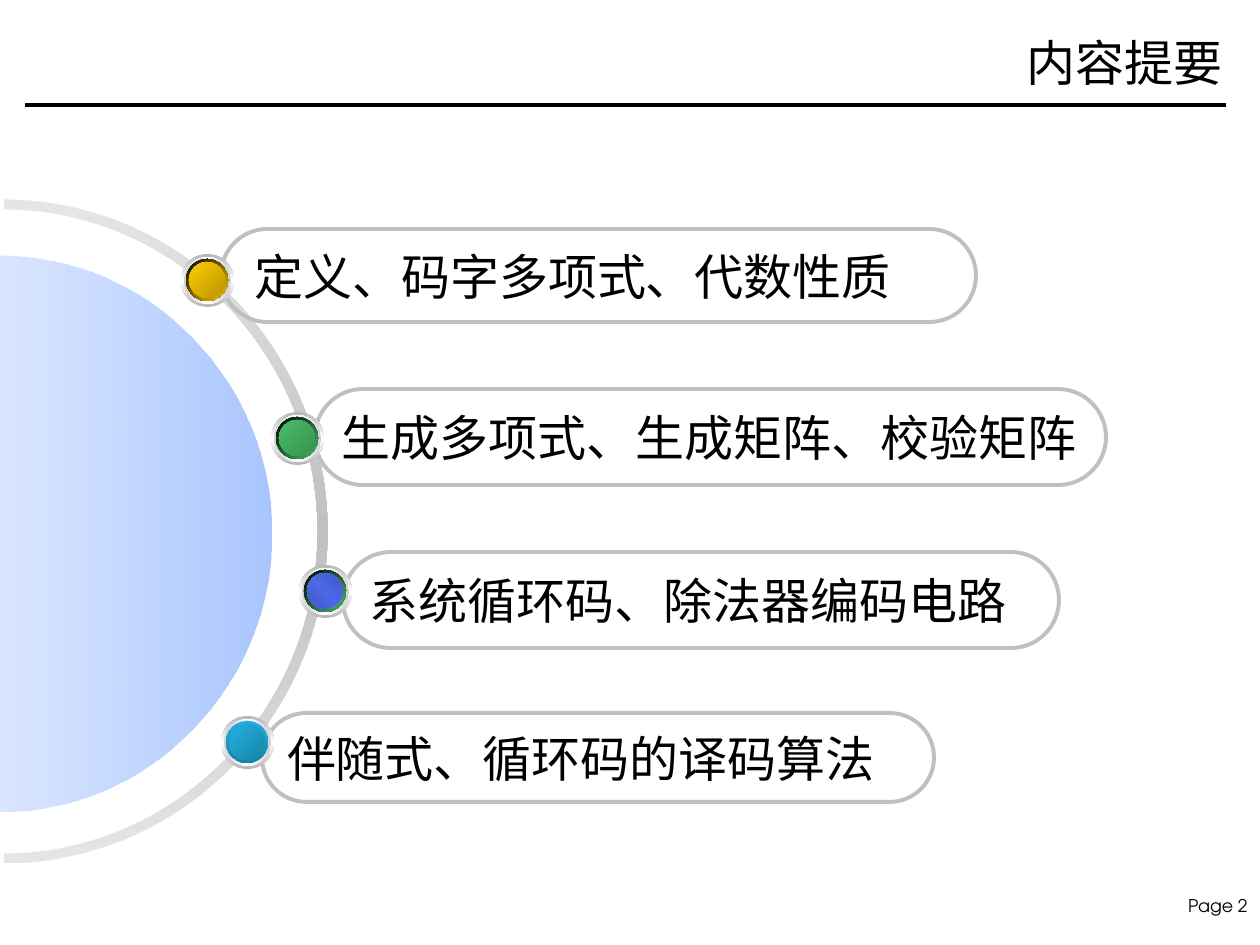
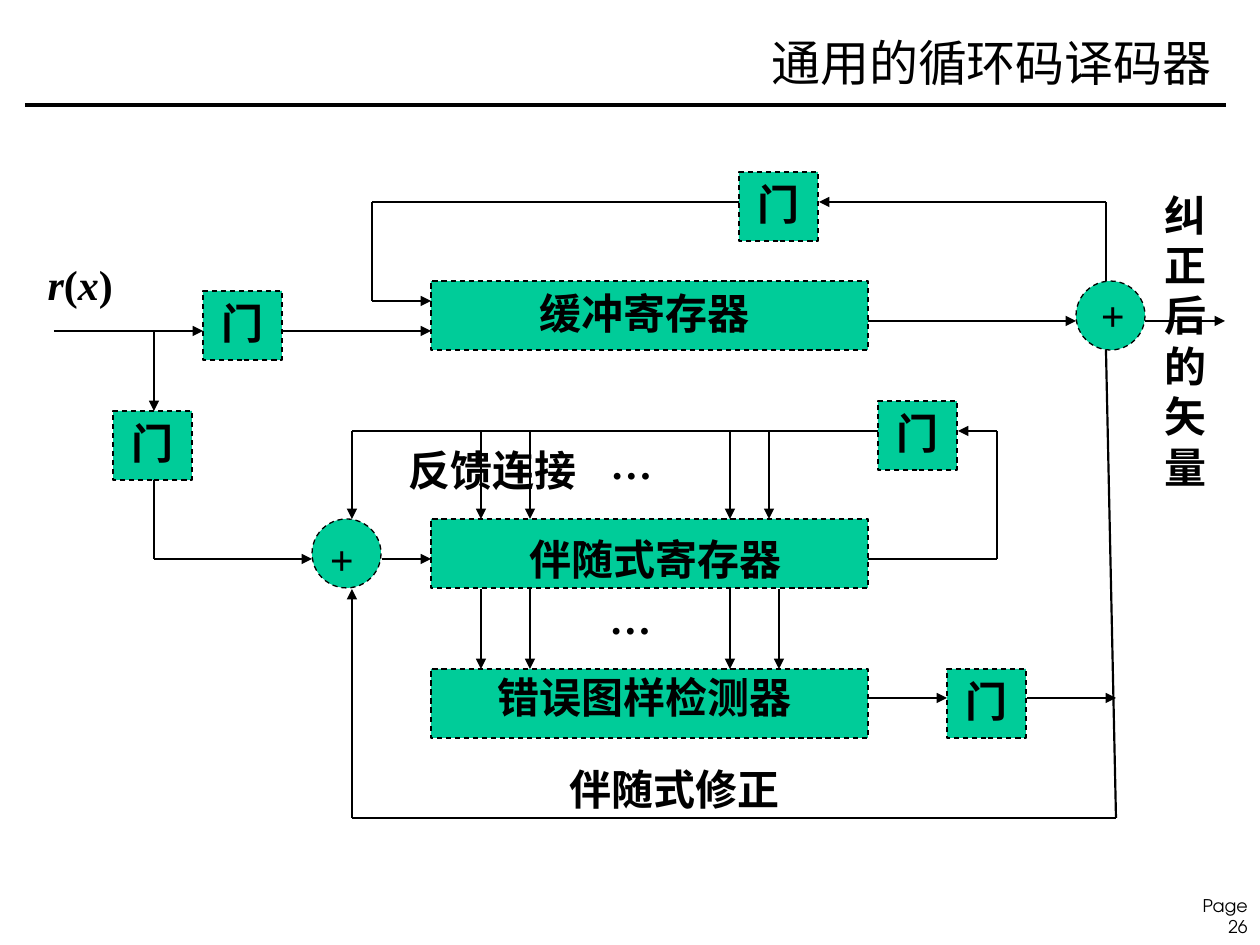
from dataclasses import dataclass

from lxml.etree import SubElement
from pptx import Presentation
from pptx.dml.color import RGBColor
from pptx.enum.dml import MSO_LINE
from pptx.enum.shapes import MSO_CONNECTOR, MSO_SHAPE
from pptx.enum.text import MSO_ANCHOR, PP_ALIGN
from pptx.oxml.ns import qn
from pptx.util import Pt

EMU_PER_PX = 914400 / 126
COLORS = {
    "ink": "000000", "block": "00CC99", "outline": "C0C0C0", "ring_edge": "E5E5E5",
    "disc_deep": "6699FF", "disc_light": "FFFFFF", "shine": "FFFFFF",
    "bezel": "FFFFFF", "bezel_inner": "FFFFFF",
    "sky": "6699FF", "sky_deep": "6699FF", "glaze": "3333CC",
    "gold": "FFCC00", "gold_deep": "FFCC00",
    "green": "48BE67", "green_deep": "48BE67",
    "cyan": "21B3E1", "cyan_rim": "21B3E1", "cyan_deep": "21B3E1",
}
MODIFIERS = {
    "disc_deep": ("alpha", 56), "disc_light": ("alpha", 48), "glaze": ("alpha", 47),
    "bezel": ("shade", 46.3), "bezel_inner": ("shade", 63.5),
    "sky_deep": ("shade", 54.5), "gold_deep": ("shade", 49),
    "green_deep": ("shade", 55), "cyan_rim": ("shade", 48), "cyan_deep": ("shade", 50),
}
SERIF, SANS = "Times New Roman", "Arial"
CJK, PAGE_FONT = "Noto Sans CJK SC", "TeX Gyre Adventor"


@dataclass
class Box:
    left: int
    top: int
    width: int
    height: int

    def inner(self, left, top, width, height):
        return Box(self.left + left, self.top + top, width, height)

    def point(self, x, y):
        return px(self.left + x), px(self.top + y)

    def emu(self):
        return [px(n) for n in (self.left, self.top, self.width, self.height)]


def px(length):
    return round(length * EMU_PER_PX)


def color(name):
    return RGBColor.from_string(COLORS[name])


def add_color(parent, name):
    element = SubElement(parent, qn("a:srgbClr"), val=COLORS[name])
    if name in MODIFIERS:
        kind, percent = MODIFIERS[name]
        SubElement(element, qn(f"a:{kind}"), val=str(round(percent * 1000)))


def fill_shape(shape, names, angle=0):
    properties = shape._element.spPr
    if len(names) == 1:
        shape.fill.solid()
        add_color(properties.find(qn("a:solidFill")), names[0])
        return
    shape.fill.gradient()
    gradient = properties.find(qn("a:gradFill"))
    stops = gradient.find(qn("a:gsLst"))
    for stop in list(stops):
        stops.remove(stop)
    for index, name in enumerate(names):
        position = round(100000 * index / (len(names) - 1))
        add_color(SubElement(stops, qn("a:gs"), pos=str(position)), name)
    gradient.find(qn("a:lin")).set("ang", str(angle * 60000))


def add_plain_shape(slide, kind, box):
    shape = slide.shapes.add_shape(kind, *box.emu())
    shape.shadow.inherit = False
    shape.line.fill.background()
    return shape


def write(frame, runs, size, font, align, bold=False, line_spacing=None):
    paragraph = frame.paragraphs[0]
    paragraph.alignment = align
    paragraph.line_spacing = line_spacing
    paragraph.font.size = Pt(size)
    paragraph.font.name = font
    paragraph.font.bold = bold
    paragraph.font.color.rgb = color("ink")
    for text, italic in runs:
        run = paragraph.add_run()
        run.text = text
        if italic:
            run.font.italic = True


def add_text(slide, box, runs, size, font, align, anchor=MSO_ANCHOR.TOP,
             indent=13, **style):
    frame = slide.shapes.add_textbox(*box.emu()).text_frame
    frame.word_wrap = True
    frame.vertical_anchor = anchor
    frame.margin_left = px(indent)
    write(frame, runs, size, font, align, **style)


def add_wire(slide, box, points, weight=1.25, arrow=True):
    for index, (start, end) in enumerate(zip(points, points[1:]), 1):
        wire = slide.shapes.add_connector(
            MSO_CONNECTOR.STRAIGHT, *box.point(*start), *box.point(*end))
        wire.line.color.rgb = color("ink")
        wire.line.width = Pt(weight)
        if arrow and index == len(points) - 1:
            SubElement(wire.line._get_or_add_ln(), qn("a:tailEnd"), type="triangle")
        SubElement(wire._element.spPr, qn("a:effectLst"))


def add_frame(slide, page, title, title_box, title_font):
    add_text(slide, Box(1159, 889, 101, 33), [(f"Page {page}", False)],
             10, PAGE_FONT, PP_ALIGN.RIGHT, indent=26)
    add_wire(slide, Box(25, 105, 1201, 0), [(0, 0), (1201, 0)], 2, arrow=False)
    add_text(slide, title_box, [(title, False)], 28, title_font,
             PP_ALIGN.RIGHT, MSO_ANCHOR.MIDDLE)


def half_curve(x, radius_x, radius_y):
    near_x, near_y = x + 0.55 * radius_x, 0.55 * radius_y
    far_x = x + radius_x
    return [("moveTo", [(x, -radius_y)]),
            ("cubicBezTo", [(near_x, -radius_y), (far_x, -near_y), (far_x, 0)]),
            ("cubicBezTo", [(far_x, near_y), (near_x, radius_y), (x, radius_y)])]


def add_turned_outline(slide, box, commands, names, angle):
    builder = slide.shapes.build_freeform(*box.point(0, 0))
    builder.add_line_segments([box.point(box.width, 0),
                               box.point(box.width, box.height)])
    shape = builder.convert_to_shape()
    outline = next(shape._element.iter(qn("a:path")))
    for child in list(outline):
        outline.remove(child)
    outline.set("w", str(box.width))
    outline.set("h", str(box.height))
    for kind, points in commands:
        command = SubElement(outline, qn(f"a:{kind}"))
        for x, y in points:
            SubElement(command, qn("a:pt"), x=str(round(box.width / 2 + y)),
                       y=str(round(box.height / 2 - x)))
    SubElement(outline, qn("a:close"))
    shape.rotation = 90
    shape.shadow.inherit = False
    shape.line.fill.background()
    fill_shape(shape, names, angle)


def add_dial(slide, box):
    inner_edge = half_curve(5, 314, -322)
    ring = half_curve(5, 324, 332) + [("lnTo", inner_edge[0][1])] + inner_edge[1:]
    add_turned_outline(slide, box.inner(-334, 3, 665, 658), ring,
                       ("ring_edge", "outline", "ring_edge"), 0)
    add_turned_outline(slide, box.inner(-278, 63, 556, 542), half_curve(0, 271, 278),
                       ("disc_deep", "disc_light"), 90)


def add_marble(slide, box, rim, core):
    layers = [
        (53, ("bezel", "shine", "bezel"), 90),
        (47, ("bezel_inner", "shine", "bezel_inner"), 0),
        (42, ("shine", "sky", "shine"), 45),
        (42, *rim),
        (36, ("sky_deep", "sky", "sky_deep"), 315),
        (36, *core),
    ]
    for size, names, angle in layers:
        offset = (box.width - size) // 2
        disc = add_plain_shape(slide, MSO_SHAPE.OVAL, box.inner(offset, offset, size, size))
        fill_shape(disc, names, angle)


def add_pill(slide, box, text, indent):
    pill = add_plain_shape(slide, MSO_SHAPE.ROUNDED_RECTANGLE, box)
    pill.adjustments[0] = 0.5
    pill.fill.background()
    pill.line.color.rgb = color("outline")
    pill.line.width = Pt(2.25)
    frame = pill.text_frame
    frame.word_wrap = False
    frame.vertical_anchor = MSO_ANCHOR.MIDDLE
    frame.margin_left = px(indent)
    write(frame, [(text, False)], 28, SANS, PP_ALIGN.LEFT)


def add_topics(slide, box):
    add_dial(slide, box)
    topics = [
        ("伴随式、循环码的译码算法", (262, 513, 672, 89), 12, (221, 516),
         (("cyan", "cyan_rim"), 90), (("cyan", "cyan_deep"), 45)),
        ("生成多项式、生成矩阵、校验矩阵", (315, 189, 791, 96), 13, (271, 212),
         (("ink", "green"), 45), (("green", "green_deep"), 45)),
        ("定义、码字多项式、代数性质", (221, 29, 755, 93), 20, (181, 54),
         (("ink", "gold"), 45), (("gold", "gold_deep"), 45)),
        ("系统循环码、除法器编码电路", (343, 352, 716, 96), 13, (299, 365),
         (("ink", "green"), 45), (("glaze",), 0)),
    ]
    for text, pill, indent, marble, rim, core in topics:
        add_pill(slide, box.inner(*pill), text, indent)
        add_marble(slide, box.inner(*marble, 53, 53), rim, core)


def add_decoder_blocks(slide, box):
    registers = [(431, y, 437) for y in (181, 419, 569)]
    gates = [(x, y, 79) for x, y in
             [(203, 191), (947, 569), (113, 311), (739, 72), (878, 301)]]
    adders = [(312, 419, 69), (1076, 181, 69)]
    for places, kind in [(registers + gates, MSO_SHAPE.RECTANGLE),
                         (adders, MSO_SHAPE.OVAL)]:
        for x, y, width in places:
            block = add_plain_shape(slide, kind, box.inner(x, y, width, 69))
            fill_shape(block, ("block",))
            block.line.color.rgb = color("ink")
            block.line.width = Pt(0.75)
            block.line.dash_style = MSO_LINE.DASH
    return [(x, y, width, 63) for x, y, width in gates]


def add_decoder_wires(slide, box):
    arrows = [
        [(282, 231), (431, 231)],
        [(54, 231), (203, 231)],
        [(154, 231), (154, 311)],
        [(154, 380), (154, 459), (312, 459)],
        [(382, 459), (431, 459)],
        [(878, 331), (352, 331), (352, 419)],
        [(868, 459), (997, 459), (997, 331), (958, 331)],
        [(868, 598), (947, 598)],
        [(1106, 250), (1116, 718), (352, 718), (352, 489)],
        [(1027, 598), (1116, 598)],
        [(868, 221), (1076, 221)],
        [(1106, 181), (1106, 102), (819, 102)],
        [(739, 102), (372, 102), (372, 201), (431, 201)],
        [(1145, 221), (1225, 221)],
    ]
    taps = [(331, 419, (481, 530, 730, 769)), (489, 569, (481, 530, 730, 779))]
    arrows += [[(x, start), (x, end)] for start, end, columns in taps for x in columns]
    for points in arrows:
        add_wire(slide, box, points)


def add_decoder(slide, box):
    gate_places = add_decoder_blocks(slide, box)
    add_decoder_wires(slide, box)
    formula = [("r", True), ("(", False), ("x", True), (")", False)]
    labels = [
        ((581, 331, 100, 63), SERIF, [("…", False)]),
        ((580, 486, 100, 63), SERIF, [("…", False)]),
        ((25, 152, 110, 63), SERIF, formula),
        *[(place, SANS, [("门", False)]) for place in gate_places],
        ((1079, 183, 67, 63), SERIF, [("+", False)]),
        ((312, 427, 59, 63), SERIF, [("+", False)]),
        ((510, 181, 268, 63), SANS, [("缓冲寄存器", False)]),
        ((491, 427, 328, 63), SANS, [("伴随式寄存器", False)]),
        ((451, 565, 387, 63), SANS, [("错误图样检测器", False)]),
        ((481, 657, 387, 63), SANS, [("伴随式修正", False)]),
        ((358, 338, 268, 63), SANS, [("反馈连接", False)]),
        ((1135, 83, 100, 315), SANS, [("纠正后的矢量", False)]),
    ]
    for place, font, runs in labels:
        add_text(slide, box.inner(*place), runs, 24, font, PP_ALIGN.CENTER,
                 bold=True, line_spacing=Pt(28.8))


def main():
    presentation = Presentation()
    presentation.slide_width, presentation.slide_height = px(1260), px(945)
    blank = presentation.slide_layouts[6]

    outline = presentation.slides.add_slide(blank)
    add_frame(outline, 2, "内容提要", Box(917, 14, 318, 95), SERIF)
    add_topics(outline, Box(0, 200, 1260, 664))

    decoder = presentation.slides.add_slide(blank)
    add_frame(decoder, 26, "通用的循环码译码器", Box(483, 14, 741, 95), CJK)
    add_decoder(decoder, Box(0, 100, 1260, 720))

    presentation.save("out.pptx")


if __name__ == "__main__":
    main()
